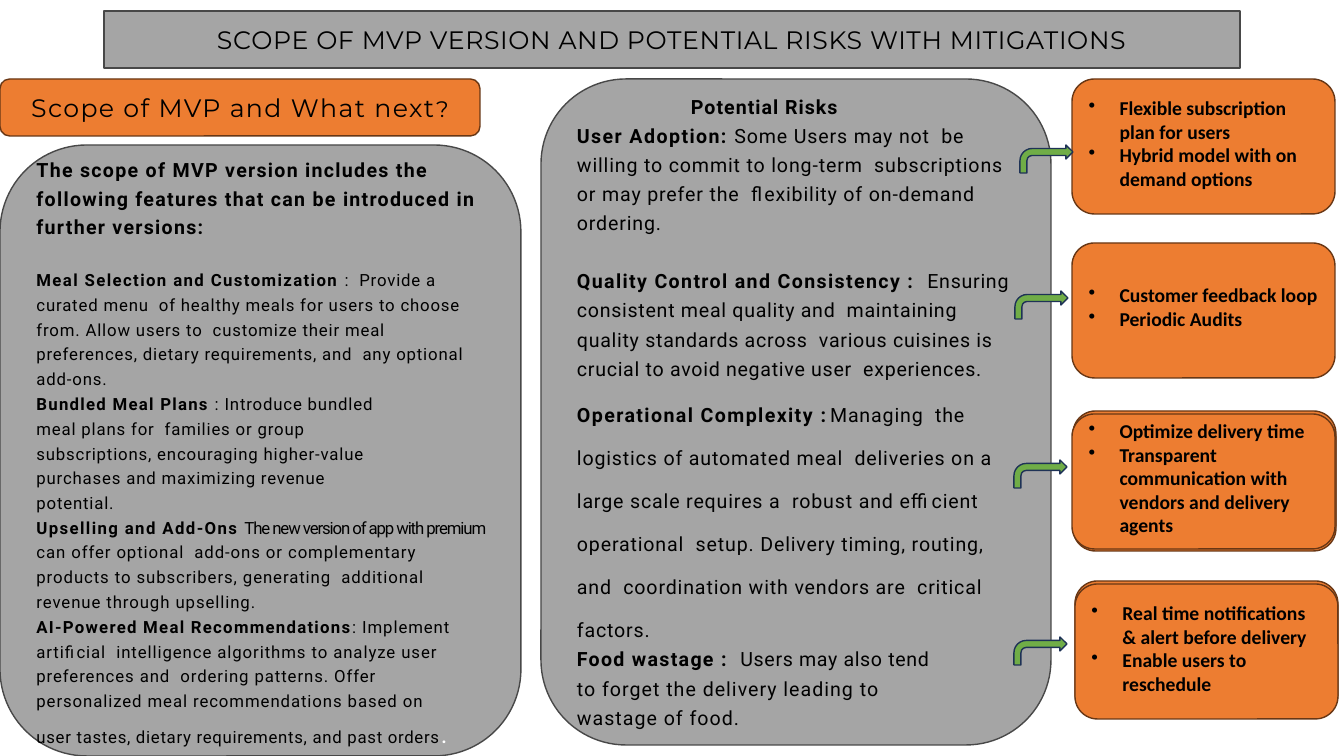
from dataclasses import dataclass

from lxml import etree
from pptx import Presentation
from pptx import util as u
from pptx.dml.color import RGBColor
from pptx.enum import shapes, text
from pptx.oxml import ns

PX = 914400 / 100.8


@dataclass(frozen=True)
class Theme:
    panel: str = "A5A5A5"
    panel_line: str = "484848"
    accent: str = "ED7D31"
    accent_line: str = "683715"
    arrow: str = "70AD47"
    arrow_line: str = "1E3256"
    ink: str = "000000"
    white: str = "FFFFFF"
    heading_font: str = "Montserrat"
    body_font: str = "Roboto"
    card_font: str = "Calibri"
    heading_size: int = 18
    mark_size: int = 16
    lead_size: int = 14
    small_size: int = 12


THEME = Theme()


@dataclass
class Span:
    words: str
    tracking: float = 0.6
    bold: bool = False
    size: int = 0
    color: str = THEME.ink


@dataclass
class Block:
    spans: list
    size: int = THEME.lead_size
    before: float = 0
    spacing: object = 1.0
    left: int = 1
    right: int = 0


SCOPE = [
    Block([Span("The scope of MVP version includes the following features that can be "
                "introduced in further versions:", 0.9, True)], spacing=1.22),
    Block([Span("Meal Selection and Customization ", 1, True),
           Span(":  Provide a curated menu  of healthy meals for users to choose from. Allow users to  "
                "customize their meal preferences, dietary requirements, and  any optional add-ons.")],
          THEME.small_size, 19.2, 1.22, right=15),
    Block([Span("Bundled Meal Plans ", 0.9, True),
           Span(": Introduce bundled meal plans for  families or group subscriptions, encouraging "
                "higher-value  purchases and maximizing revenue potential.")],
          THEME.small_size, 0.5, 1.23, right=77),
    Block([Span("Upselling and Add-Ons ", 1, True),
           Span("The new version of app with premium ", -0.8),
           Span("can offer optional  add-ons or complementary products to subscribers, generating  "
                "additional revenue through upselling.", 0.65)],
          THEME.small_size, 0.1, 1.22),
    Block([Span("AI-Powered Meal Recommendations", 0.9, True),
           Span(": Implement artificial  intelligence algorithms to analyze user preferences and  ordering "
                "patterns. Offer personalized meal recommendations based on ", 0.65),
           Span("user tastes, dietary requirements, and past orders", 0.5),
           Span(".", 0.5, size=THEME.heading_size, color=THEME.white)],
          THEME.small_size, 0.3, 1.23, right=32),
]

RISKS = [
    Block([Span("Potential Risks", 0.7, True)], left=115),
    Block([Span("User Adoption: ", 1, True),
           Span("Some Users may not  be willing to commit to long-term  subscriptions or may prefer the  "
                "flexibility of on-demand ordering.")], before=0.2, spacing=1.23),
    Block([Span("Quality Control and Consistency :  ", 0.95, True),
           Span("Ensuring consistent meal quality and  maintaining quality standards across  various "
                "cuisines is crucial to avoid negative user  experiences.", 0.5)],
          before=20.4, spacing=1.25),
    Block([Span("Operational Complexity ", 1, True), Span(": ", -0.8, True),
           Span("Managing  the logistics of automated meal  deliveries on a large scale requires a  robust "
                "and efficient operational  setup. Delivery timing, routing, and  coordination with "
                "vendors are  critical factors.")], before=1.9, spacing=u.Pt(30.8)),
    Block([Span("Food wastage :  ", 0.9, True), Span("Users may also tend", 0.45)], before=3.8),
    Block([Span("to forget the delivery leading to  wastage of food.", 0.7)],
          before=0.5, spacing=1.23, right=100),
]

BACK_CARDS = [(1073, 411), (1075, 581), (1073, 416)]
CARDS = [
    (1072, 79, ["Flexible subscription plan for users", "Hybrid model with on demand options"]),
    (1072, 243, ["Customer feedback loop", "Periodic Audits"]),
    (1072, 414, ["Optimize delivery time",
                 "Transparent communication with vendors and delivery agents"]),
    (1075, 584, ["Real time notifications & alert before delivery", "Enable users to reschedule"]),
]
ARROWS = [(1020, 145), (1015, 291), (1014, 460), (1014, 637)]


def px(length):
    return u.Emu(round(length * PX))


def paint(shape, fill, line):
    shape.fill.solid()
    shape.fill.fore_color.rgb = RGBColor.from_string(fill)
    shape.line.color.rgb = RGBColor.from_string(line)
    shape.line.width = u.Pt(1)


def add_figure(page, kind, place, fill, line):
    shape = page.shapes.add_shape(kind, *map(px, place))
    shape.shadow.inherit = False
    paint(shape, fill, line)
    return shape


def add_box(page, place, fill, line):
    return add_figure(page, shapes.MSO_SHAPE.ROUNDED_RECTANGLE, place, fill, line)


def round_placeholder(holder, place):
    holder.left, holder.top, holder.width, holder.height = map(px, place)
    outline = etree.SubElement(holder.element.spPr, ns.qn("a:prstGeom"), prst="roundRect")
    etree.SubElement(outline, ns.qn("a:avLst"))
    paint(holder, THEME.panel, THEME.panel_line)
    return holder


def set_paragraph(para, block, font, align=text.PP_ALIGN.LEFT, bullet=False):
    props = para._p.get_or_add_pPr()
    hang = 31 if bullet else 0
    props.set("marL", str(px(hang or block.left)))
    props.set("marR", str(px(block.right)))
    props.set("indent", str(-px(hang)))
    if bullet:
        etree.SubElement(props, ns.qn("a:buChar"), char="•")
    else:
        etree.SubElement(props, ns.qn("a:buNone"))
    para.alignment = align
    para.line_spacing = block.spacing
    para.space_before = u.Pt(block.before)
    para.space_after = u.Pt(0)
    for span in block.spans:
        run = para.add_run()
        run.text = span.words
        run.font.name = font
        run.font.size = u.Pt(span.size or block.size)
        run.font.bold = span.bold
        run.font.color.rgb = RGBColor.from_string(span.color)
        run._r.get_or_add_rPr().set("spc", str(round(span.tracking * 100)))


def write(box, blocks, font, **options):
    frame = box.text_frame
    frame.word_wrap = True
    frame.auto_size = text.MSO_AUTO_SIZE.NONE
    frame.vertical_anchor = text.MSO_ANCHOR.MIDDLE
    frame.margin_left = frame.margin_right = u.Inches(0.1)
    frame.margin_top = frame.margin_bottom = u.Inches(0.05)
    for index, block in enumerate(blocks):
        para = frame.add_paragraph() if index else frame.paragraphs[0]
        set_paragraph(para, block, font, **options)


def add_card(page, left, top, items=()):
    card = add_box(page, (left, top, 263, 135), THEME.accent, THEME.accent_line)
    if items:
        blocks = [Block([Span(item, 0, True)]) for item in items]
        write(card, blocks, THEME.card_font, bullet=True)
        card.text_frame.margin_bottom = px(12)


def main():
    deck = Presentation()
    deck.slide_width, deck.slide_height = px(1344), px(756)
    page = deck.slides.add_slide(deck.slide_layouts[3])
    title, scope, risks = page.placeholders

    round_placeholder(title, (104, 11, 1136, 57))
    headline = Span("SCOPE OF MVP VERSION AND POTENTIAL RISKS WITH MITIGATIONS", 0.45)
    write(title, [Block([headline], THEME.heading_size, left=0)], THEME.heading_font,
          align=text.PP_ALIGN.CENTER)
    round_placeholder(scope, (0, 145, 521, 611))
    write(scope, SCOPE, THEME.body_font)
    round_placeholder(risks, (541, 79, 510, 666))
    write(risks, RISKS, THEME.body_font)

    heading = add_box(page, (0, 79, 480, 57), THEME.accent, THEME.accent_line)
    question = [Span("Scope of MVP and What next", 1), Span("?", 0.9, size=THEME.mark_size)]
    write(heading, [Block(question, THEME.heading_size, left=0)], THEME.heading_font,
          align=text.PP_ALIGN.CENTER)

    for place in BACK_CARDS:
        add_card(page, *place)
    for card in CARDS:
        add_card(page, *card)
    for left, top in ARROWS:
        add_figure(page, shapes.MSO_SHAPE.BENT_ARROW, (left, top, 53, 28),
                   THEME.arrow, THEME.arrow_line)
    deck.save("out.pptx")


if __name__ == "__main__":
    main()
